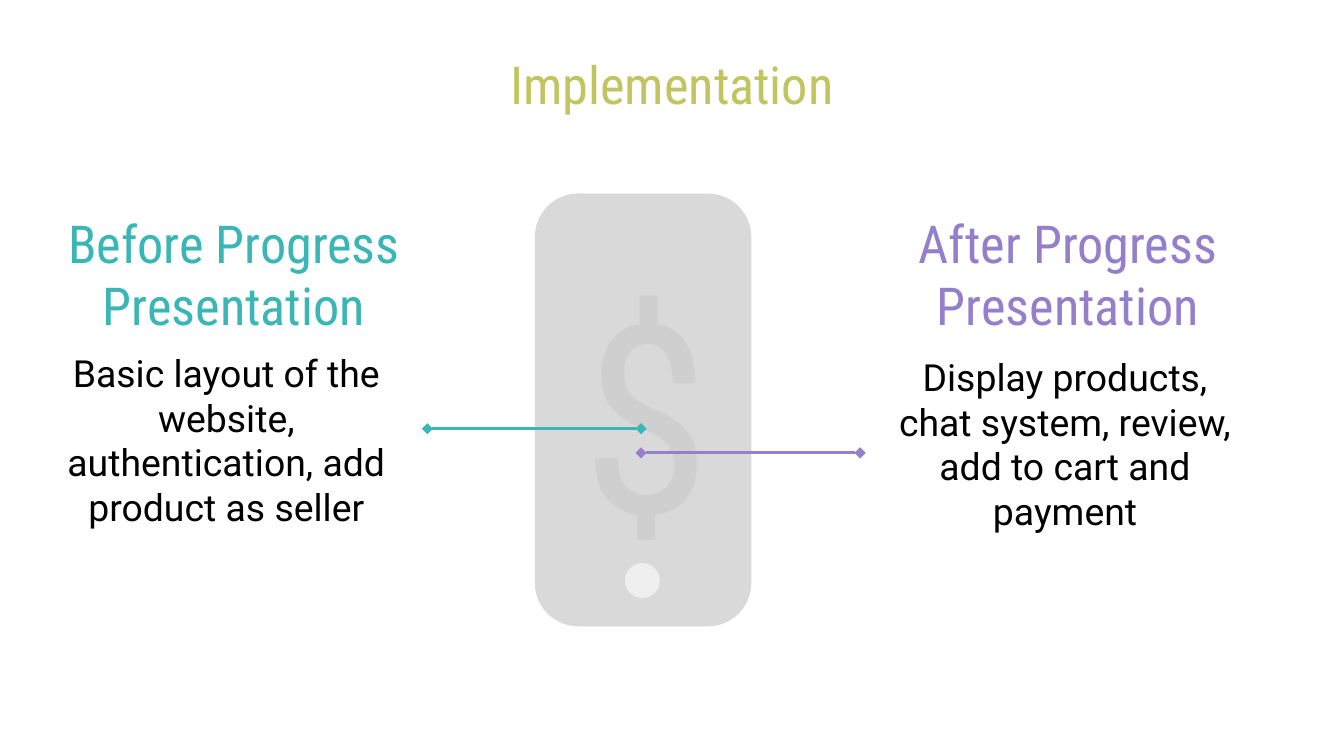
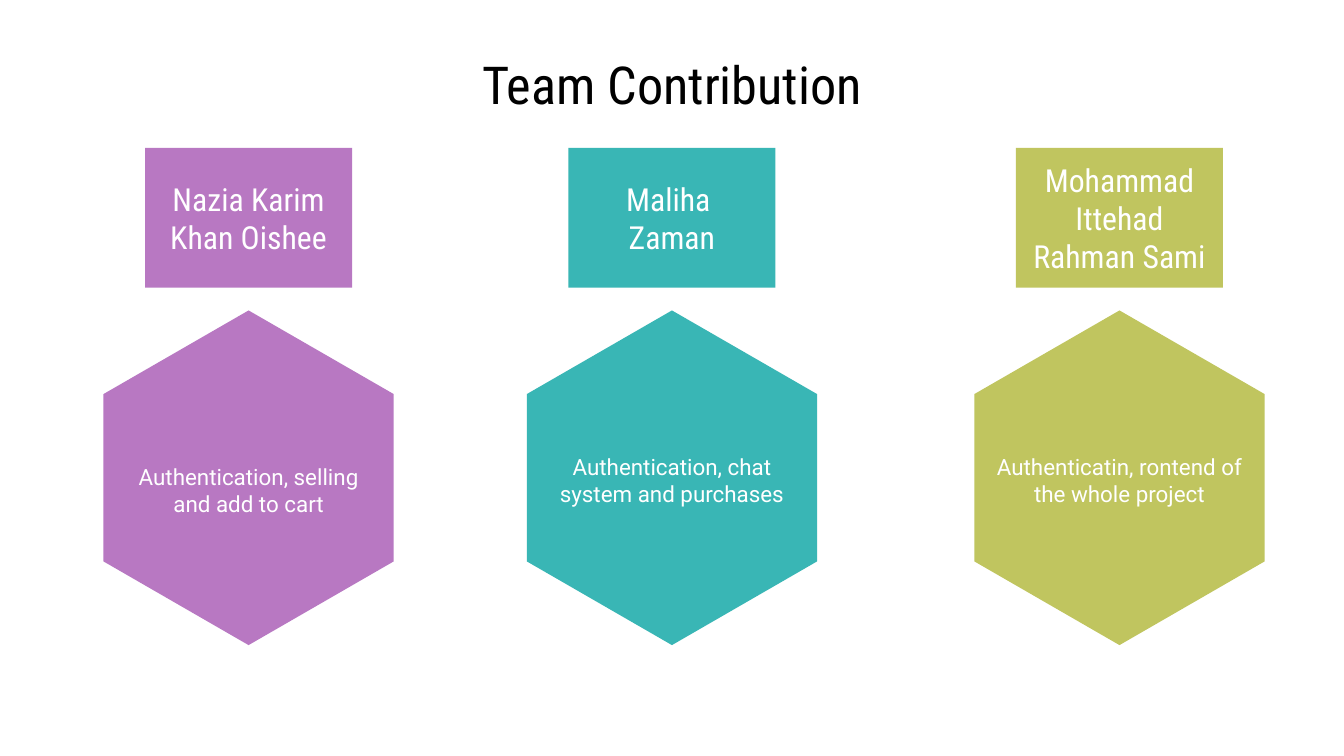
import pptx
import pptx.util
import pptx.dml.color
import pptx.enum.shapes
import pptx.enum.text
import pptx.oxml.ns
from lxml import etree

Inches = pptx.util.Inches
RGBColor = pptx.dml.color.RGBColor
MSO_SHAPE = pptx.enum.shapes.MSO_SHAPE
PP_ALIGN = pptx.enum.text.PP_ALIGN
MSO_ANCHOR = pptx.enum.text.MSO_ANCHOR
qn = pptx.oxml.ns.qn

TEAL = RGBColor(0x39, 0xB6, 0xB5)
LIME = RGBColor(0xC0, 0xC5, 0x5F)
VIOLET = RGBColor(0x95, 0x7F, 0xCA)
ORCHID = RGBColor(0xB8, 0x78, 0xC2)
BLACK = RGBColor(0, 0, 0)
WHITE = RGBColor(0xFF, 0xFF, 0xFF)
PHONE_GREY = RGBColor(0xD9, 0xD9, 0xD9)
DOLLAR_GREY = RGBColor(0xCF, 0xCF, 0xCF)
BUTTON_GREY = RGBColor(0xEF, 0xEF, 0xEF)

HEADING_FONT = "Roboto Condensed"
BODY_FONT = "Roboto"

# Boxes are left, top, width, height in inches.
TITLE_BOX = (2.75, 0.45, 4.5, 0.35)
PHONE_BOX = (3.98, 1.44, 1.61, 3.22)
BUTTON_BOX = (4.65, 4.19, 0.26, 0.26)
DOLLAR_BOX = (4.23, 1.76, 0.93, 2.31)

# heading, heading box, details, details box, colour, line from x, to x, y
PHASES = [
    ("Before Progress Presentation", (-0.51, 1.86, 4.5, 0.35),
     "Basic layout of the website, authentication, add product as seller",
     (0.16, 2.98, 3.05, 0.58), TEAL, 3.18, 4.77, 3.19),
    ("After Progress Presentation", (5.89, 1.86, 4.11, 0.35),
     "Display products, chat system, review, add to cart and payment",
     (6.58, 3.01, 2.69, 0.58), VIOLET, 4.77, 6.4, 3.37),
]

# name, task, colour, column centre, task text top
MEMBERS = [
    ("Nazia Karim Khan Oishee", "Authentication, selling and add to cart",
     ORCHID, 1.85, 2.88),
    ("Maliha \nZaman", "Authentication, chat system and purchases",
     TEAL, 5, 2.73),
    ("Mohammad Ittehad Rahman Sami",
     "Authenticatin, rontend of the whole project", LIME, 8.33, 2.73),
]
NAME_TOP, NAME_W, NAME_H = 1.1, 1.54, 1.04
HEX_TOP, HEX_W, HEX_H = 2.31, 2.16, 2.49
TASK_W, TASK_BOTTOM = 2.12, 4.42


def write(sp, text, size, color, font=HEADING_FONT, align=PP_ALIGN.CENTER,
          anchor=MSO_ANCHOR.MIDDLE):
    tf = sp.text_frame
    tf.word_wrap = True
    tf.auto_size = pptx.enum.text.MSO_AUTO_SIZE.NONE
    tf.vertical_anchor = anchor
    tf.margin_left = tf.margin_right = Inches(0.1)
    tf.margin_top = tf.margin_bottom = Inches(0.1)
    for i, line in enumerate(text.split("\n")):
        p = tf.paragraphs[0] if i == 0 else tf.add_paragraph()
        p.alignment = align
        r = p.add_run()
        r.text = line
        r.font.name = font
        r.font.size = pptx.util.Pt(size)
        r.font.color.rgb = color


def add_text(s, box, text, size, color, **fmt):
    sp = s.shapes.add_textbox(*map(Inches, box))
    write(sp, text, size, color, **fmt)


def paint(sp, color):
    sp.shadow.inherit = False
    sp.fill.solid()
    sp.fill.fore_color.rgb = color
    sp.line.fill.background()


def add_shape(s, kind, box, color):
    sp = s.shapes.add_shape(kind, *map(Inches, box))
    paint(sp, color)
    return sp


def add_hexagon(s, center, color):
    """Add a hexagon that stands on a corner."""
    left, right = center - HEX_W / 2, center + HEX_W / 2
    upper, lower = HEX_TOP + HEX_H / 4, HEX_TOP + HEX_H * 3 / 4
    points = [(center, HEX_TOP), (left, upper), (left, lower),
              (center, HEX_TOP + HEX_H), (right, lower), (right, upper)]
    points = [(Inches(x), Inches(y)) for x, y in points]
    builder = s.shapes.build_freeform(*points[0])
    builder.add_line_segments(points[1:], close=True)
    paint(builder.convert_to_shape(), color)


def add_diamond_line(s, x1, x2, y, color):
    line = s.shapes.add_connector(
        pptx.enum.shapes.MSO_CONNECTOR.STRAIGHT,
        Inches(x1), Inches(y), Inches(x2), Inches(y))
    line.line.color.rgb = color
    line.line.width = pptx.util.Pt(1.5)
    sp_pr = line._element.spPr
    ln = sp_pr.find(qn("a:ln"))
    for end in ("a:headEnd", "a:tailEnd"):
        etree.SubElement(ln, qn(end), type="diamond")
    etree.SubElement(sp_pr, qn("a:effectLst"))


def add_slide(prs, title, color):
    s = prs.slides.add_slide(prs.slide_layouts[5])
    sp = s.shapes.title
    sp.left, sp.top, sp.width, sp.height = map(Inches, TITLE_BOX)
    write(sp, title, 28, color)
    return s


def build_implementation(prs):
    s = add_slide(prs, "Implementation", LIME)
    phone = add_shape(s, MSO_SHAPE.ROUNDED_RECTANGLE, PHONE_BOX, PHONE_GREY)
    phone.adjustments[0] = 0.2
    add_text(s, DOLLAR_BOX, "$", 141, DOLLAR_GREY, align=PP_ALIGN.LEFT,
             anchor=MSO_ANCHOR.TOP)
    add_shape(s, MSO_SHAPE.OVAL, BUTTON_BOX, BUTTON_GREY)
    for heading, heading_box, details, details_box, color, x1, x2, y in PHASES:
        add_diamond_line(s, x1, x2, y, color)
        add_text(s, details_box, details, 20, BLACK, font=BODY_FONT)
        add_text(s, heading_box, heading, 28, color)


def build_team(prs):
    s = add_slide(prs, "Team Contribution", BLACK)
    for name, task, color, center, task_top in MEMBERS:
        add_hexagon(s, center, color)
        task_box = (center - TASK_W / 2, task_top, TASK_W,
                    TASK_BOTTOM - task_top)
        add_text(s, task_box, task, 12, WHITE, font=BODY_FONT)
        name_box = (center - NAME_W / 2, NAME_TOP, NAME_W, NAME_H)
        sp = add_shape(s, MSO_SHAPE.RECTANGLE, name_box, color)
        write(sp, name, 17, WHITE)


def main():
    prs = pptx.Presentation()
    prs.slide_width = Inches(10)
    prs.slide_height = prs.slide_width * 9 // 16
    build_implementation(prs)
    build_team(prs)
    prs.save("out.pptx")


if __name__ == "__main__":
    main()
